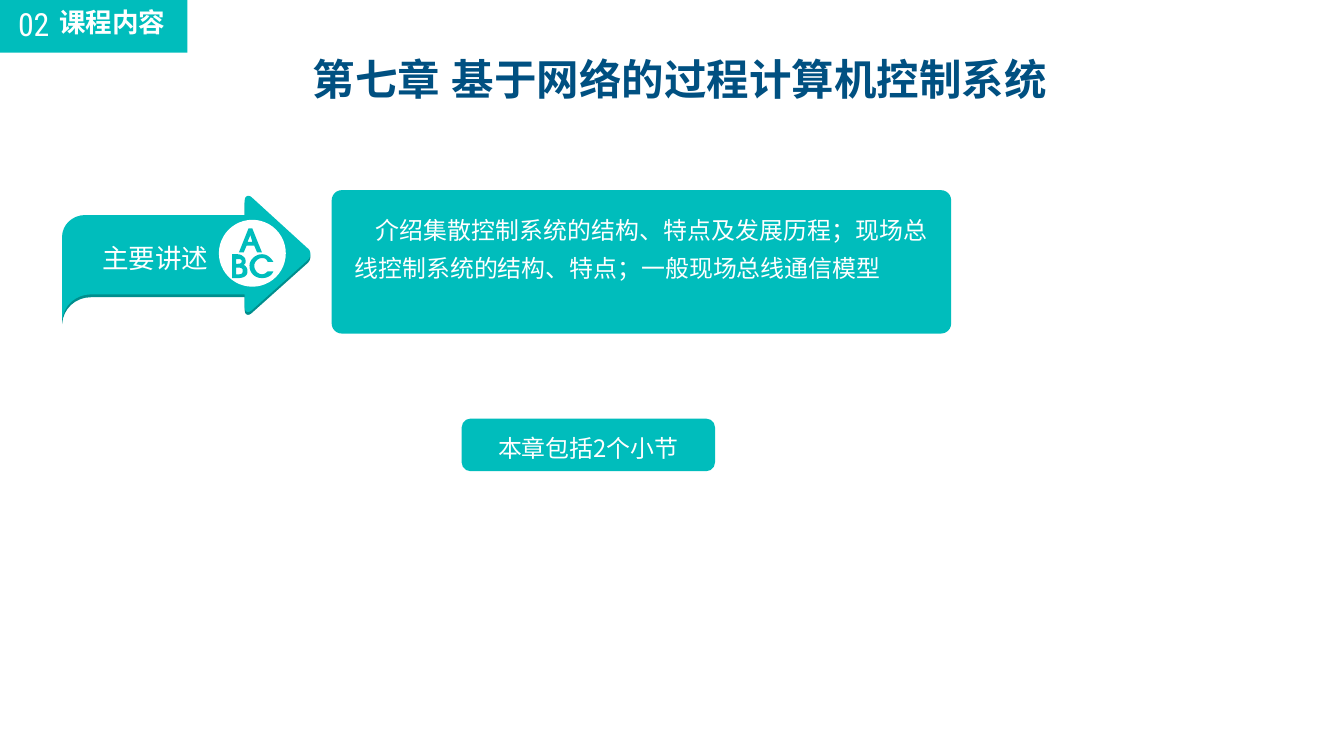
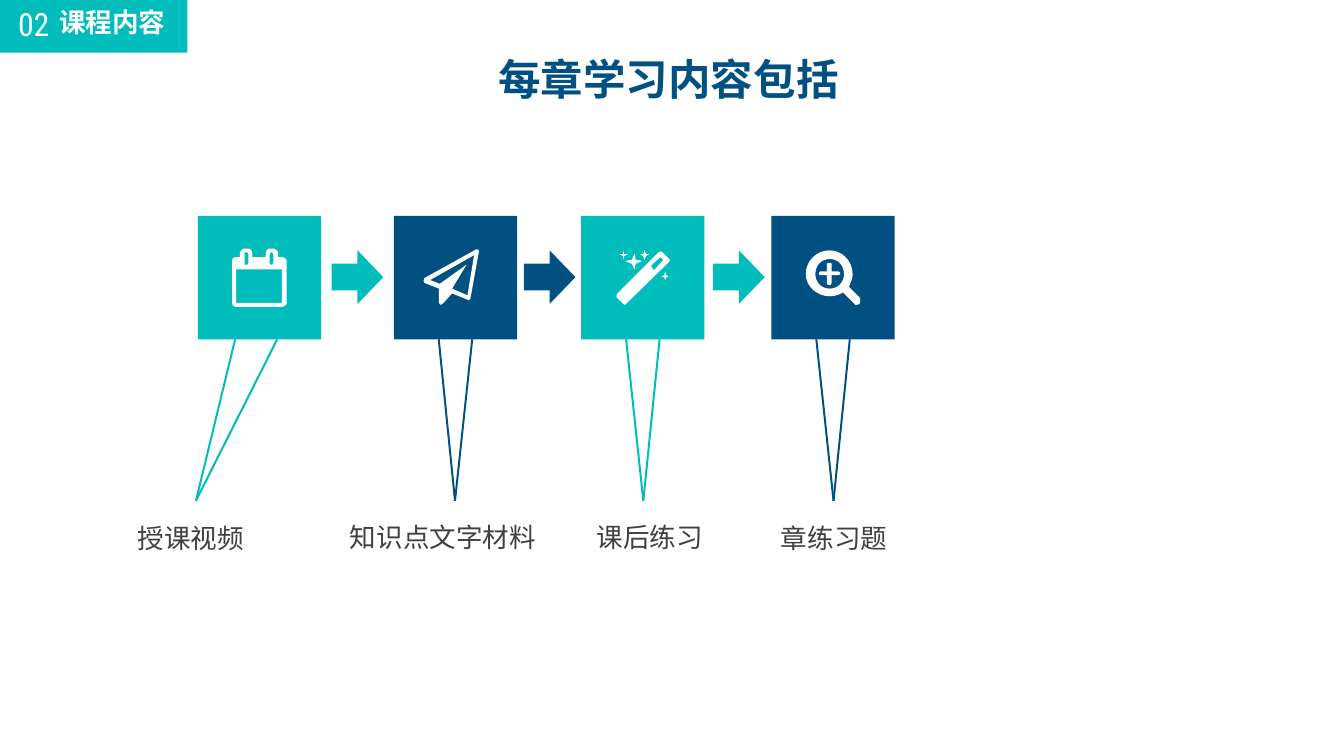
from dataclasses import dataclass

from lxml import etree
from pptx import Presentation, util as u
from pptx.dml.color import RGBColor
from pptx.enum import lang, shapes, text
from pptx.oxml import ns

Inches = u.Inches
SHAPE = shapes.MSO_SHAPE
ALIGN = text.PP_ALIGN
ANCHOR = text.MSO_ANCHOR


@dataclass(frozen=True)
class Theme:
    """Colours, fonts and type sizes of the deck."""
    teal: str = "00BDBC"
    deep_teal: str = "008E8D"
    navy: str = "005081"
    white: str = "FFFFFF"
    grey: str = "404040"
    title_font: str = "Arial"
    body_font: str = "Noto Sans CJK SC"
    section_font: str = "Noto Sans CJK JP"
    number_font: str = "Roboto Condensed"
    title_size: int = 32
    number_size: int = 24
    label_size: int = 20
    body_size: int = 18
    line_width: float = 1.5


@dataclass(frozen=True)
class Box:
    """A rectangle on the slide, in inches."""
    left: float
    top: float
    width: float
    height: float

    def lengths(self):
        """Return the four sides as slide lengths."""
        return [Inches(v) for v in (self.left, self.top, self.width, self.height)]


@dataclass(frozen=True)
class Outline:
    """A drawn outline: corner in inches, commands M, L, C in hundredths."""
    left: float
    top: float
    commands: str


@dataclass(frozen=True)
class Step:
    """One learning step: tile, icon, pointer lines and label."""
    left: float
    color: str
    icon: Outline
    tip: float
    feet: tuple[float, float]
    label: str
    label_box: Box


THEME = Theme()

BANNER = """M 0 45 C 0 32 11 22 24 22 L 191 22 191 7 C 191 2 195 0 199 4 L 256 56
C 261 59 261 66 256 70 L 199 121 C 195 125 191 124 191 118 L 191 105 30 105
C 14 105 1 117 0 133"""

LETTERS = (
    Outline(2.5, 2.39, """M 19 25 L 16 18 8 18 5 25 0 25 10 0 14 0 24 25
M 12 7 L 9 14 14 14"""),
    Outline(2.43, 2.66, """M 6 25 L 0 25 0 0 5 0 C 8 0 10 1 11 2 13 3 14 5 14 7
14 9 14 10 12 11 15 13 16 15 16 18 16 22 13 25 6 25
M 6 5 L 4 5 4 10 6 10 C 9 10 10 9 10 7 10 6 9 5 6 5
M 6 14 L 4 14 4 21 7 21 C 10 21 11 20 11 17 11 15 10 14 6 14"""),
    Outline(2.61, 2.66, """M 13 25 C 6 25 0 20 0 12 0 6 6 0 13 0 18 0 22 3 25 8
L 19 8 C 18 5 16 4 13 4 9 4 5 8 5 12 5 17 9 21 13 21 15 21 17 20 19 18
L 25 18 C 23 23 18 25 13 25"""),
)

CALENDAR = Outline(2.43, 2.6, """M 57 57 C 57 59 54 61 52 61 L 4 61
C 1 61 0 59 0 57 L 0 13 C 0 11 1 9 4 9 L 8 9 8 6 C 8 2 11 0 13 0 L 16 0
C 19 0 21 2 21 6 L 21 9 35 9 35 6 C 35 2 37 0 40 0 L 42 0 C 45 0 48 2 48 6
L 48 9 52 9 C 54 9 57 11 57 13 M 52 57 L 52 22 4 22 4 57
M 17 6 L 16 4 13 4 13 17 16 17 17 15
M 43 6 L 42 4 40 4 39 6 39 15 40 17 42 17 43 15""")
PAPER_PLANE = Outline(4.43, 2.61, """M 58 2 L 49 52 47 53 30 46 20 57 18 58
C 17 57 16 56 16 55 L 16 41 1 35 C 0 34 0 31 1 30 L 55 0 C 56 0 58 0 58 2
M 53 6 L 7 32 17 36 45 16 30 41 46 48""")
WAND = Outline(6.45, 2.62, """M 55 12 L 10 56 C 9 57 8 57 7 56 L 0 49
C 0 48 0 47 0 46 L 44 2 C 45 1 47 1 48 2 L 55 9 C 56 10 56 11 55 12
M 49 10 L 46 7 36 16 39 21
M 12 4 L 8 6 7 10 7 6 3 4 7 4 7 0 8 4
M 27 11 L 20 14 19 20 16 14 9 11 16 10 19 3 20 10
M 34 4 L 31 6 29 10 28 6 25 4 28 4 29 0 31 4
M 55 27 L 52 28 51 31 50 28 47 27 50 26 51 22 52 26""")
MAGNIFIER = Outline(8.43, 2.62, """M 53 57 C 52 57 51 57 51 56 L 39 44
C 34 47 29 48 25 48 11 48 0 37 0 25 0 11 11 0 25 0 38 0 49 11 49 25
49 29 47 34 45 38 L 57 50 C 57 51 57 52 57 53 57 55 56 57 53 57
M 25 9 C 16 9 10 16 10 25 10 33 16 40 25 40 34 40 40 33 40 25 40 16 34 9 25 9
M 36 25 L 34 26 27 26 27 34 26 36 23 36 22 34 22 26 15 26 14 25 14 23 15 22
22 22 22 14 23 13 26 13 27 14 27 22 34 22 36 23""")

STEPS = (
    Step(2.07, THEME.teal, CALENDAR, 2.05, (2.46, 2.9),
         "授课视频", Box(1.44, 5.41, 1.46, 0.37)),
    Step(4.12, THEME.navy, PAPER_PLANE, 4.76, (4.59, 4.94),
         "知识点文字材料", Box(3.66, 5.4, 2.11, 0.37)),
    Step(6.08, THEME.teal, WAND, 6.73, (6.55, 6.9),
         "课后练习", Box(6.24, 5.4, 1.46, 0.37)),
    Step(8.07, THEME.navy, MAGNIFIER, 8.72, (8.54, 8.89),
         "章练习题", Box(8.17, 5.41, 1.46, 0.37)),
)
ARROW_LEFTS = (3.47, 5.48, 7.46)
TILE_TOP, TILE_SIDE, TIP_TOP = 2.26, 1.29, 5.24


def write(frame, content: str, *, size: float, color: str,
          font: str = THEME.body_font, bold: bool = False, align=ALIGN.LEFT,
          spacing: float = 1.0, anchor=ANCHOR.TOP, inset: tuple = (0.1, 0.05),
          wrap: bool = True, indent: float = 0) -> None:
    """Put one formatted paragraph into a text frame."""
    frame.auto_size = text.MSO_AUTO_SIZE.NONE
    frame.word_wrap = wrap
    frame.vertical_anchor = anchor
    frame.margin_left = frame.margin_right = Inches(inset[0])
    frame.margin_top = frame.margin_bottom = Inches(inset[1])
    para = frame.paragraphs[0]
    para.alignment, para.line_spacing = align, spacing
    if indent:
        para._p.get_or_add_pPr().set("indent", str(Inches(indent)))
    span = para.add_run()
    span.text = content
    span.font.name, span.font.size, span.font.bold = font, u.Pt(size), bold
    span.font.color.rgb = RGBColor.from_string(color)
    span.font.language_id = lang.MSO_LANGUAGE_ID.SIMPLIFIED_CHINESE
    east_asian = etree.Element(ns.qn("a:ea"), typeface=font)
    span.font._element.find(ns.qn("a:latin")).addnext(east_asian)


def add_text(page, box: Box, content: str, **style) -> None:
    """Add a text box with one paragraph."""
    write(page.shapes.add_textbox(*box.lengths()).text_frame, content, **style)


def paint(shape, color: str):
    """Give a shape a plain fill without line or shadow."""
    shape.shadow.inherit = False
    shape.fill.solid()
    shape.fill.fore_color.rgb = RGBColor.from_string(color)
    shape.line.fill.background()
    return shape


def add_block(page, kind, box: Box, color: str):
    """Add a plain preset shape."""
    return paint(page.shapes.add_shape(kind, *box.lengths()), color)


def bezier(points: list, steps: int = 8) -> list:
    """Return points along a cubic curve, without its start."""
    curve = []
    for i in range(1, steps + 1):
        t = i / steps
        weights = ((1 - t) ** 3, 3 * t * (1 - t) ** 2, 3 * t * t * (1 - t), t ** 3)
        curve.append(tuple(sum(w * p[axis] for w, p in zip(weights, points))
                           for axis in (0, 1)))
    return curve


def contours(commands: str) -> list:
    """Turn M, L, C commands into lists of points."""
    found, pending, mode = [], [], "M"
    words = iter(commands.split())
    for word in words:
        if word in "MLC":
            mode = word
            continue
        pending.append((float(word), float(next(words))))
        if mode == "M":
            found.append(pending)
        elif mode == "L":
            found[-1].extend(pending)
        elif len(pending) < 3:
            continue
        else:
            found[-1].extend(bezier([found[-1][-1], *pending]))
        pending = []
    return found


def add_outline(page, outline: Outline, color: str) -> None:
    """Draw an outline as one freeform with holes."""
    fine = 100
    rings = [[(x * fine, y * fine) for x, y in ring]
             for ring in contours(outline.commands)]
    builder = page.shapes.build_freeform(*rings[0][0], scale=Inches(0.01) / fine)
    for number, ring in enumerate(rings):
        if number:
            builder.move_to(*ring[0])
        builder.add_line_segments(ring[1:], close=True)
    paint(builder.convert_to_shape(Inches(outline.left), Inches(outline.top)), color)


def add_line(page, start: tuple, end: tuple, color: str) -> None:
    """Draw a straight line without shadow."""
    line = page.shapes.add_connector(
        shapes.MSO_CONNECTOR.STRAIGHT, *[Inches(v) for v in (*start, *end)])
    line.line.color.rgb = RGBColor.from_string(color)
    line.line.width = u.Pt(THEME.line_width)
    etree.SubElement(line._element.spPr, ns.qn("a:effectLst"))


def add_page(deck, title: str, box: Box):
    """Add a slide with its title and the section band."""
    page = deck.slides.add_slide(deck.slide_layouts[5])
    heading = page.shapes.title
    heading.left, heading.top, heading.width, heading.height = box.lengths()
    write(heading.text_frame, title, size=THEME.title_size, color=THEME.navy,
          font=THEME.title_font, bold=True, align=ALIGN.CENTER, spacing=1.3,
          inset=(0, 0))
    add_block(page, SHAPE.RECTANGLE, Box(0, 0, 1.96, 0.55), THEME.teal)
    add_text(page, Box(0.52, 0.01, 1.43, 0.44), "课程内容", size=THEME.label_size,
             color=THEME.white, font=THEME.section_font, bold=True)
    add_text(page, Box(0.09, 0, 1.31, 0.5), "02", size=THEME.number_size,
             color=THEME.white, font=THEME.number_font)
    return page


def build_chapter(deck) -> None:
    """Build the chapter overview."""
    page = add_page(deck, "第七章 基于网络的过程计算机控制系统",
                    Box(3.02, 0.39, 8.19, 0.7))
    panel = add_block(page, SHAPE.ROUNDED_RECTANGLE, Box(3.47, 1.99, 6.48, 1.5),
                      THEME.teal)
    panel.adjustments[0] = 0.07
    add_text(page, Box(3.71, 2.17, 6, 0.72),
             "介绍集散控制系统的结构、特点及发展历程；现场总线控制系统的结构、特点；"
             "一般现场总线通信模型", size=THEME.body_size, color=THEME.white,
             align=ALIGN.JUSTIFY, spacing=1.3, inset=(0, 0), indent=0.22)
    sections = add_block(page, SHAPE.ROUNDED_RECTANGLE,
                         Box(4.83, 4.38, 2.65, 0.55), THEME.teal)
    write(sections.text_frame, "本章包括2个小节", size=THEME.body_size,
          color=THEME.white, align=ALIGN.CENTER, spacing=1.2, anchor=ANCHOR.MIDDLE)
    for top, color in ((2.06, THEME.deep_teal), (2.03, THEME.teal)):
        add_outline(page, Outline(0.65, top, BANNER), color)
    add_text(page, Box(0.97, 2.42, 1.32, 0.47), "主要讲述", size=THEME.label_size,
             color=THEME.white, align=ALIGN.JUSTIFY, spacing=1.2, wrap=False)
    add_block(page, SHAPE.OVAL, Box(2.29, 2.3, 0.7, 0.7), THEME.white)
    for letter in LETTERS:
        add_outline(page, letter, THEME.teal)


def build_steps(deck) -> None:
    """Build the four learning steps."""
    page = add_page(deck, "每章学习内容包括", Box(3.09, 0.39, 7.81, 0.63))
    for step in STEPS:
        for foot in step.feet:
            add_line(page, (step.tip, TIP_TOP), (foot, TILE_TOP + TILE_SIDE), step.color)
        add_block(page, SHAPE.RECTANGLE,
                  Box(step.left, TILE_TOP, TILE_SIDE, TILE_SIDE), step.color)
        add_outline(page, step.icon, THEME.white)
        add_text(page, step.label_box, step.label, size=THEME.label_size,
                 color=THEME.grey, spacing=1.2, anchor=ANCHOR.MIDDLE, inset=(0, 0))
    for left, step in zip(ARROW_LEFTS, STEPS):
        add_block(page, SHAPE.RIGHT_ARROW, Box(left, 2.62, 0.54, 0.56), step.color)


def main() -> None:
    """Build and save the deck."""
    deck = Presentation()
    deck.slide_width, deck.slide_height = Inches(14.06), Inches(7.91)
    build_chapter(deck)
    build_steps(deck)
    deck.save("out.pptx")


main()
